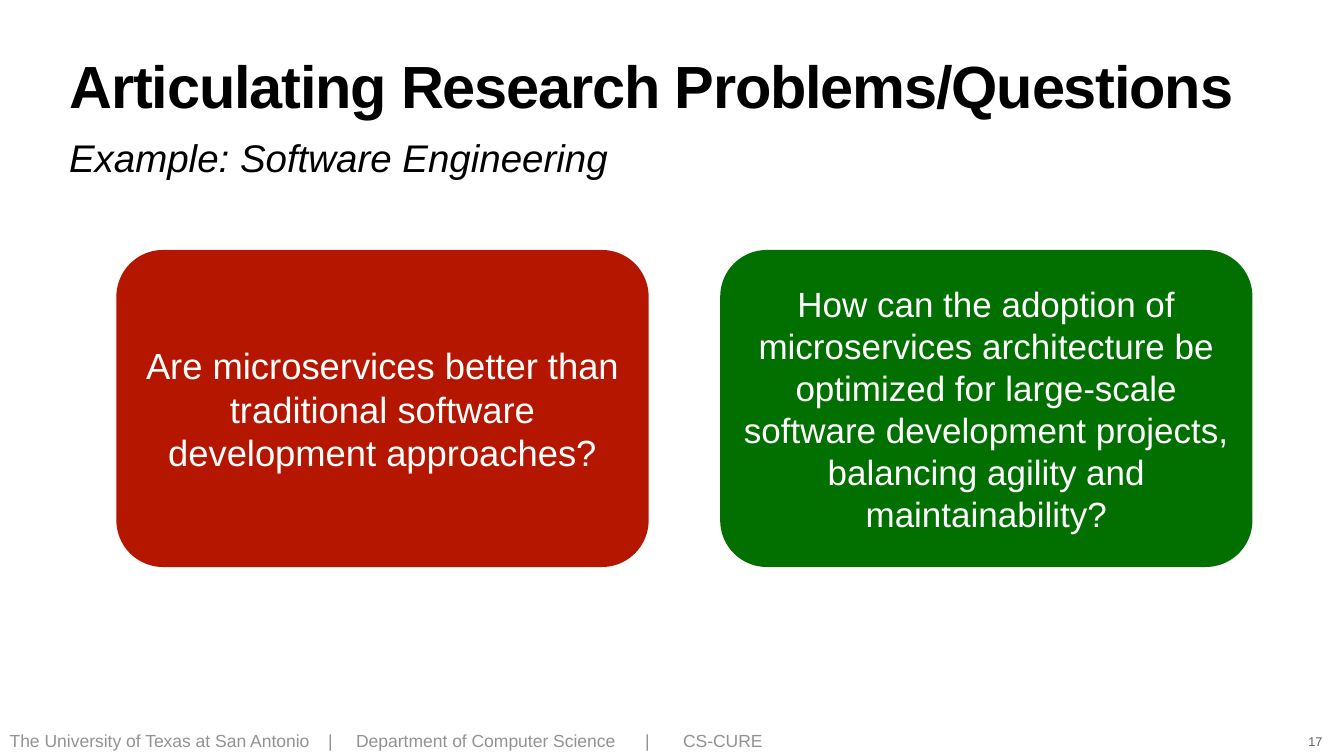
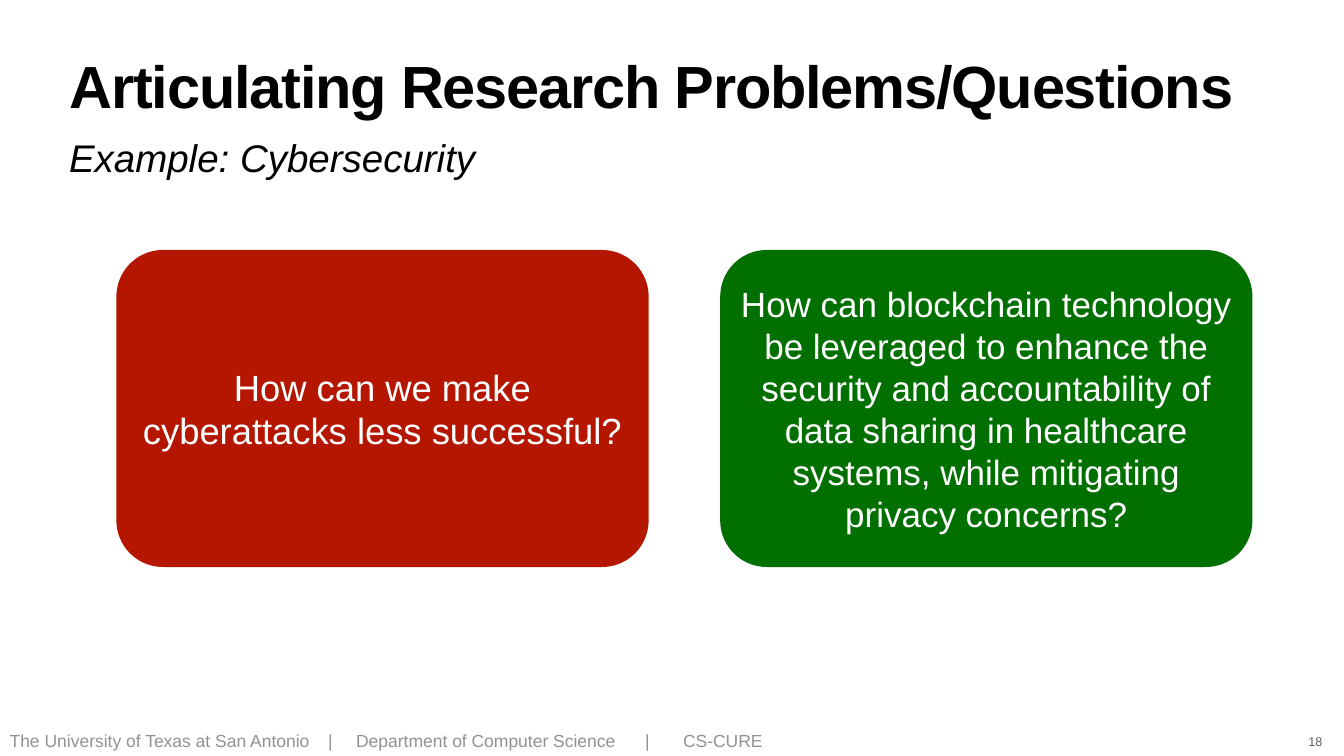
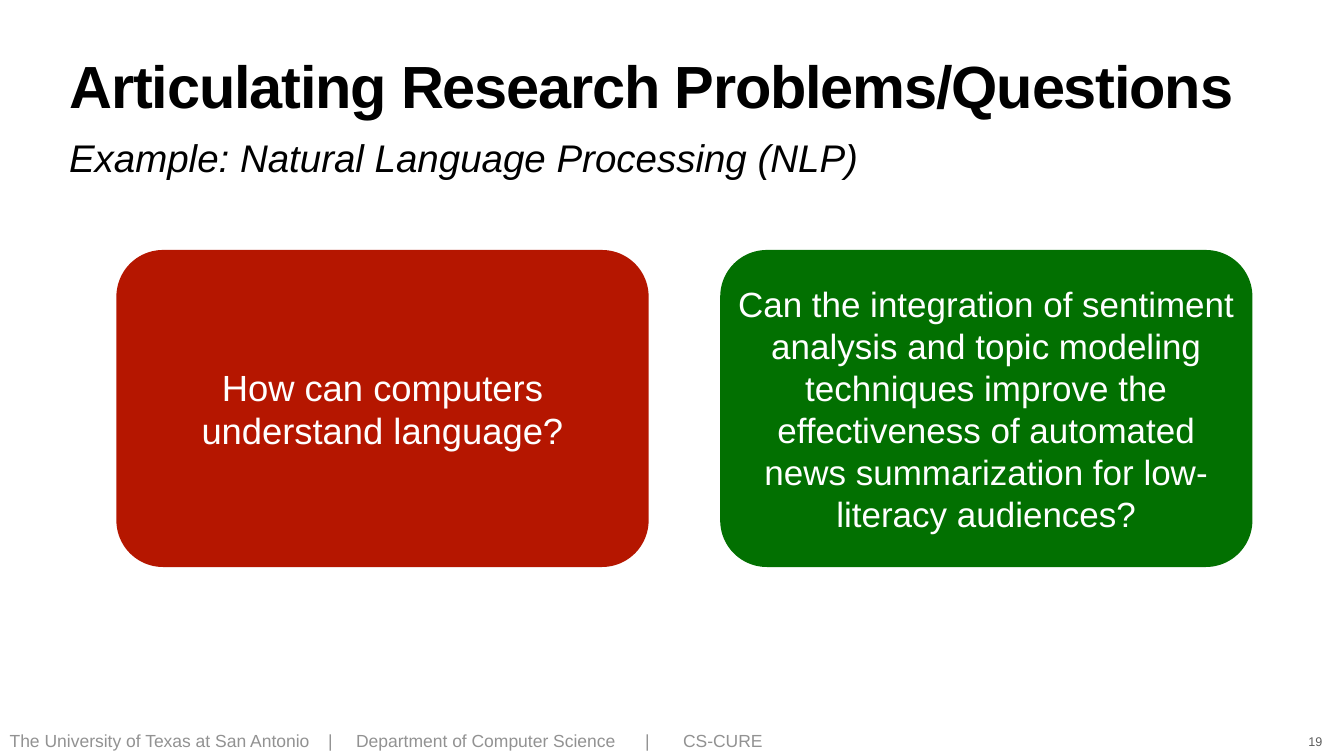
"""Build three slides that contrast a vague and a well-articulated research question."""
import lxml.etree
import pptx
import pptx.dml.color
import pptx.enum.shapes
import pptx.enum.text
import pptx.oxml.ns
import pptx.util

Pt = pptx.util.Pt
ALIGN = pptx.enum.text.PP_ALIGN
ANCHOR = pptx.enum.text.MSO_ANCHOR

TITLE = "Articulating Research Problems/Questions"
FOOTER = "The University of Texas at San Antonio\t|\tDepartment of Computer Science\t|\tCS-CURE"
FOOTER_TABS = (455, 495, 908, 962)
FIRST_PAGE = 17

CARD_LEFT, CARD_TOP, CARD_WIDTH, CARD_HEIGHT = 166.3, 357.1, 760.3, 452.9
CARD_PITCH = 862.6
CARD_STYLES = (("B51600", 52), ("027001", 50))

EXAMPLES = (
    ("Software Engineering",
     "Are microservices better than traditional software development approaches?",
     "How can the adoption of microservices architecture be optimized for large-scale "
     "software development projects, balancing agility and maintainability?"),
    ("Cybersecurity",
     "How can we make cyberattacks less successful?",
     "How can blockchain technology be leveraged to enhance the security and accountability "
     "of data sharing in healthcare systems, while mitigating privacy concerns?"),
    ("Natural Language Processing (NLP)",
     "How can computers understand language?",
     "Can the integration of sentiment analysis and topic modeling techniques improve the "
     "effectiveness of automated news summarization for low-literacy audiences?"),
)


def color(value):
    """Turn a hex string into a colour."""
    return pptx.dml.color.RGBColor.from_string(value)


def apply(target, values):
    """Set each named attribute on the target."""
    for name, value in values.items():
        setattr(target, name, value)


class Deck:
    """Hold the shared style and the current slide."""

    font_name = "Arial"

    def __init__(self):
        """Start an empty presentation."""
        self.presentation = pptx.Presentation()
        apply(self.presentation, {"slide_width": Pt(1920), "slide_height": Pt(1080)})
        self.slide = None

    def new_slide(self):
        """Add a blank slide and make it current."""
        self.slide = self.presentation.slides.add_slide(self.presentation.slide_layouts[6])

    def fill_text(self, shape, text, size, text_color, inset=4.3, wrap=True, anchor=ANCHOR.TOP,
                  align=ALIGN.LEFT, line_spacing=None, tabs=(), tracking=None, **font_format):
        """Put one styled paragraph into a shape."""
        frame = shape.text_frame
        apply(frame, {"word_wrap": wrap, "vertical_anchor": anchor})
        apply(frame, {f"margin_{side}": Pt(inset) for side in ("left", "top", "right", "bottom")})
        paragraph = frame.paragraphs[0]
        apply(paragraph, {"alignment": align, "line_spacing": line_spacing})
        if tabs:
            properties = paragraph._p.get_or_add_pPr()
            tab_list = lxml.etree.SubElement(properties, pptx.oxml.ns.qn("a:tabLst"))
            for position in tabs:
                lxml.etree.SubElement(tab_list, pptx.oxml.ns.qn("a:tab"),
                                      pos=str(Pt(position)), algn="l")
        run = paragraph.add_run()
        run.text = text
        apply(run.font, {"name": self.font_name, "size": Pt(size), **font_format})
        run.font.color.rgb = color(text_color)
        if tracking is not None:
            run._r.get_or_add_rPr().set("spc", str(round(tracking * 100)))

    def text(self, left, top, width, height, text, size, text_color, **style):
        """Add a text box."""
        shape = self.slide.shapes.add_textbox(Pt(left), Pt(top), Pt(width), Pt(height))
        self.fill_text(shape, text, size, text_color, **style)

    def heading(self, title, subtitle):
        """Add the bold title and the italic subtitle."""
        self.text(95, 85, 1730, 113, title, 85, "000000", bold=True,
                  line_spacing=0.8, tracking=-1.7)
        self.text(95, 187.2, 1730, 73.4, subtitle, 55, "000000", italic=True, inset=3.6)

    def footer(self, page):
        """Add the affiliation line and the page number."""
        self.text(9.4, 1040.4, 1834.6, 37.4, FOOTER, 25, "929292", anchor=ANCHOR.MIDDLE,
                  line_spacing=0.9, tabs=FOOTER_TABS)
        self.text(1864.8, 1044.7, 28.8, 29.5, str(page), 18, "5E5E5E", anchor=ANCHOR.BOTTOM,
                  align=ALIGN.CENTER, wrap=False)

    def card(self, left, text, fill, size):
        """Add a rounded question card."""
        shape = self.slide.shapes.add_shape(
            pptx.enum.shapes.MSO_SHAPE.ROUNDED_RECTANGLE,
            Pt(left), Pt(CARD_TOP), Pt(CARD_WIDTH), Pt(CARD_HEIGHT))
        shape.adjustments[0] = 0.147
        shape.shadow.inherit = False
        shape.fill.solid()
        shape.fill.fore_color.rgb = color(fill)
        shape.line.fill.background()
        self.fill_text(shape, text, size, "FFFFFF", anchor=ANCHOR.MIDDLE, align=ALIGN.CENTER)


def main():
    """Build and save the slides."""
    deck = Deck()
    for page, (field, *questions) in enumerate(EXAMPLES, FIRST_PAGE):
        deck.new_slide()
        deck.footer(page)
        deck.heading(TITLE, f"Example: {field}")
        for column, (question, (fill, size)) in enumerate(zip(questions, CARD_STYLES)):
            deck.card(CARD_LEFT + column * CARD_PITCH, question, fill, size)
    deck.presentation.save("out.pptx")


if __name__ == "__main__":
    main()
